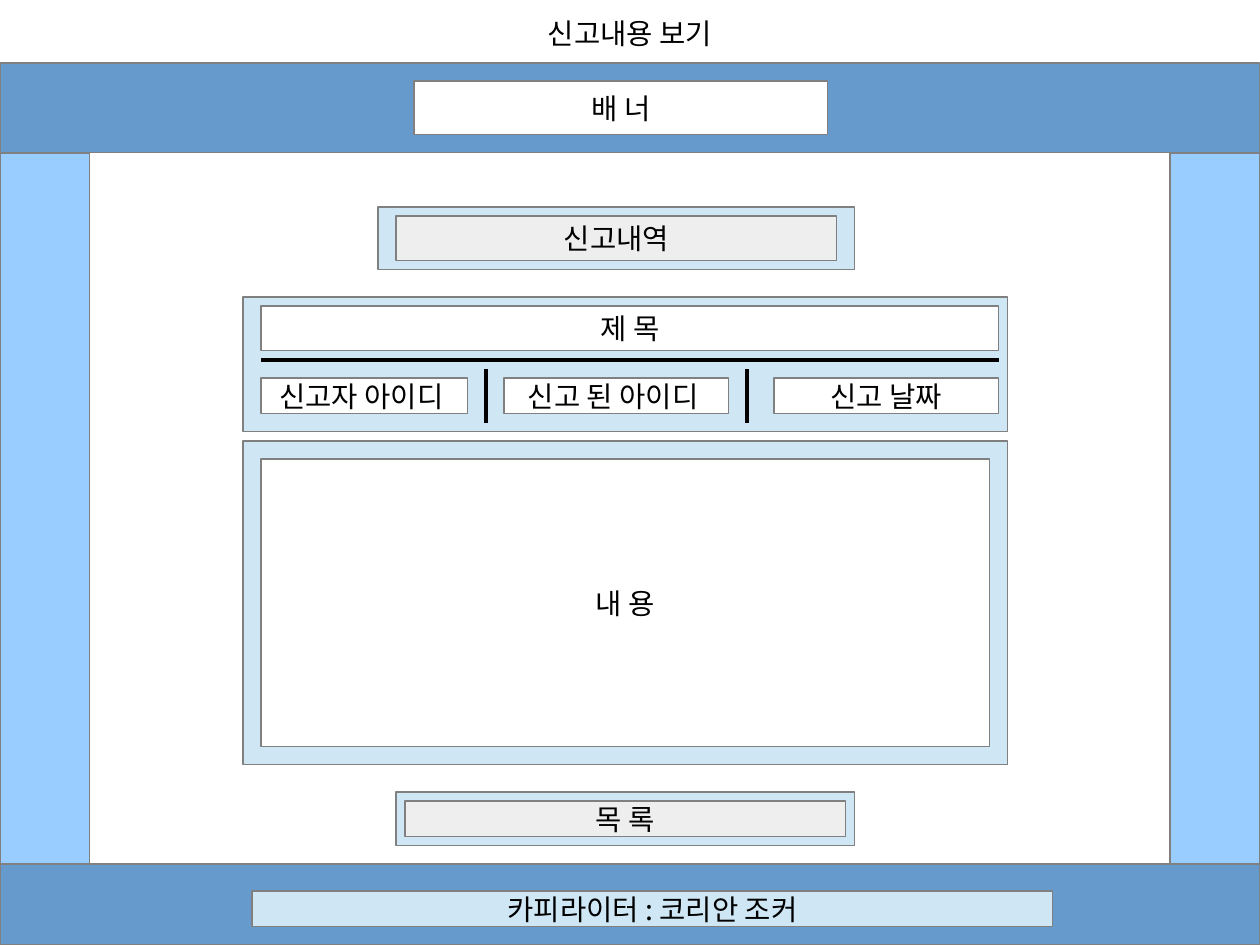
from pptx import Presentation
from pptx.dml.color import RGBColor
from pptx.enum.shapes import MSO_CONNECTOR, MSO_SHAPE
from pptx.enum.text import MSO_ANCHOR, MSO_AUTO_SIZE, PP_ALIGN
from pptx.oxml.ns import qn
from pptx.util import Pt
from lxml.etree import SubElement

PX = 8000  # EMU per px
FONT = "Noto Sans CJK KR"
BLACK = RGBColor(0x00, 0x00, 0x00)
WHITE = RGBColor(0xFF, 0xFF, 0xFF)
GRAY = RGBColor(0x80, 0x80, 0x80)
BUTTON = RGBColor(0xEE, 0xEE, 0xEE)
BAND = RGBColor(0x66, 0x99, 0xCC)
SIDE = RGBColor(0x99, 0xCC, 0xFF)
PANEL = RGBColor(0xCF, 0xE7, 0xF5)


def write(sp, text, size=18, color=BLACK, anchor=MSO_ANCHOR.MIDDLE):
    tf = sp.text_frame
    tf.word_wrap = True
    tf.auto_size = MSO_AUTO_SIZE.NONE
    tf.vertical_anchor = anchor
    p = tf.paragraphs[0]
    p.alignment = PP_ALIGN.CENTER
    r = p.add_run()
    r.text = text
    r.font.size = Pt(size)
    r.font.color.rgb = color
    r.font.name = FONT
    SubElement(r.font._element, qn("a:ea"), typeface=FONT)


prs = Presentation()
prs.slide_width, prs.slide_height = 1260 * PX, 945 * PX
s = prs.slides.add_slide(prs.slide_layouts[5])

# Title
title = s.shapes.title
title.left, title.top, title.width, title.height = (v * PX for v in (459, 10, 342, 53))
write(title, "신고내용 보기", anchor=MSO_ANCHOR.TOP)

# Page bands, panels and labelled boxes: left, top, width, height, fill, text
boxes = [
    (0, 63, 1260, 90, BAND, ""),
    (0, 153, 90, 711, SIDE, ""),
    (1170, 153, 90, 711, SIDE, ""),
    (0, 864, 1260, 81, BAND, ""),
    (414, 81, 414, 54, WHITE, "배 너"),
    (252, 891, 801, 36, PANEL, "카피라이터 : 코리안 조커"),
    (378, 207, 477, 63, PANEL, ""),
    (396, 216, 441, 45, BUTTON, "신고내역"),
    (243, 297, 765, 135, PANEL, ""),
    (261, 306, 738, 45, WHITE, "제 목"),
    (261, 378, 207, 36, WHITE, "신고자 아이디 "),
    (504, 378, 225, 36, WHITE, "신고 된 아이디 "),
    (774, 378, 225, 36, WHITE, "신고 날짜"),
    (243, 441, 765, 324, PANEL, ""),
    (261, 459, 729, 288, WHITE, "내 용"),
    (396, 792, 459, 54, PANEL, ""),
    (405, 801, 441, 36, BUTTON, "목 록"),
]
for x, y, w, h, fill, text in boxes:
    sp = s.shapes.add_shape(MSO_SHAPE.RECTANGLE, x * PX, y * PX, w * PX, h * PX)
    sp.shadow.inherit = False
    sp.fill.solid()
    sp.fill.fore_color.rgb = fill
    sp.line.color.rgb = GRAY
    sp.line.width = 0
    if text:
        write(sp, text)

# Dividers in the report header
for x1, y1, x2, y2 in [(261, 360, 999, 360), (486, 369, 486, 423), (747, 369, 747, 423)]:
    line = s.shapes.add_connector(MSO_CONNECTOR.STRAIGHT, x1 * PX, y1 * PX, x2 * PX, y2 * PX)
    line.line.color.rgb = BLACK
    line.line.width = 0
    SubElement(line._element.spPr, qn("a:effectLst"))

prs.save("out.pptx")
